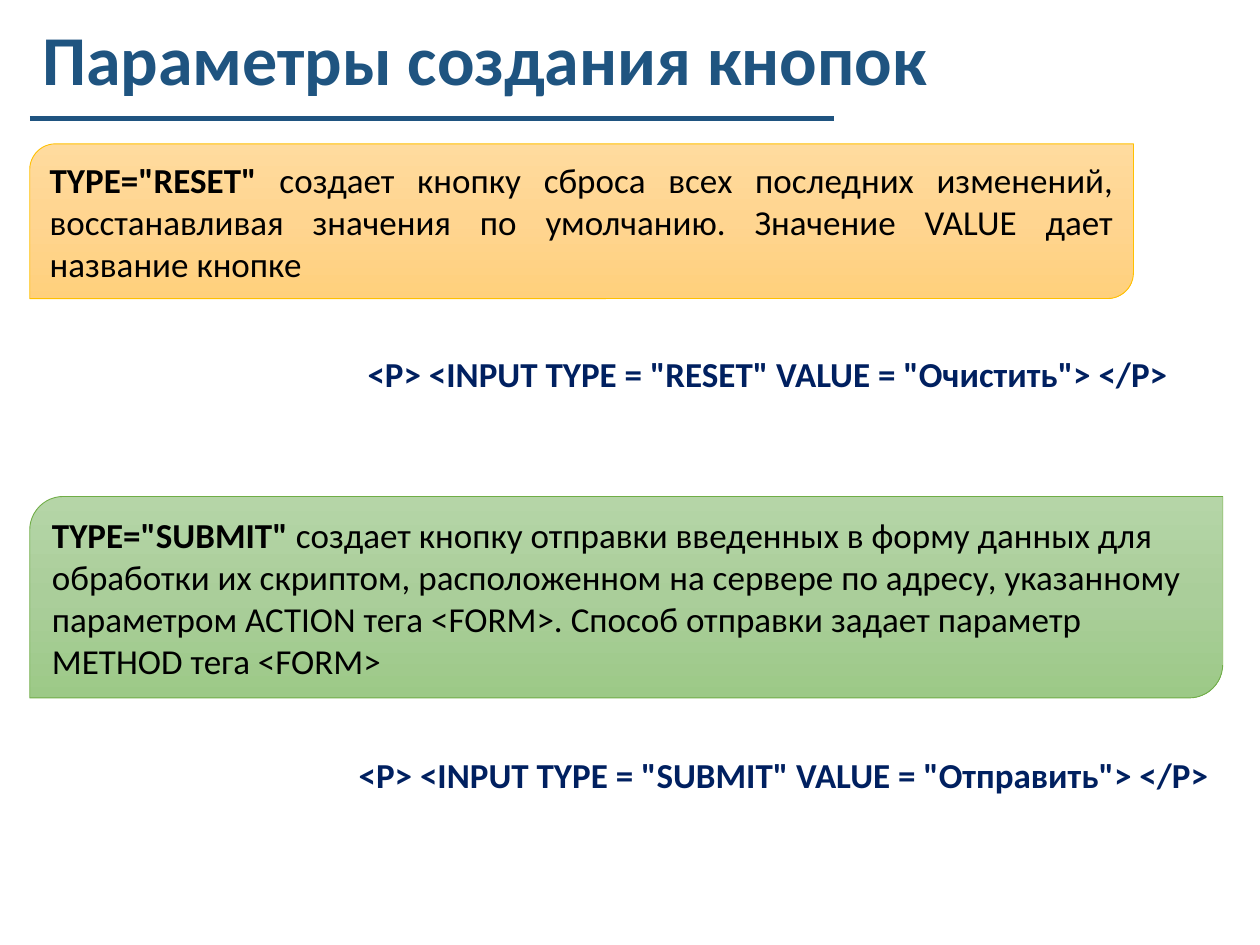
from copy import deepcopy
from pptx import Presentation
from pptx import util as u
from pptx.dml.color import RGBColor
from pptx.enum import shapes, text
from pptx.oxml import ns, xmlchemy


def rgb(value):
    return RGBColor.from_string(value)


def add_run(p, content, size, color, bold):
    r = p.add_run()
    r.text = content
    r.font.name = "Calibri"
    r.font.size = u.Pt(size)
    r.font.bold = bold
    r.font.color.rgb = rgb(color)


prs = Presentation()
prs.slide_width = u.Cm(25.4)
prs.slide_height = u.Cm(19.05)
s = prs.slides.add_slide(prs.slide_layouts[6])
left = u.Cm(0.6)

title = s.shapes.add_textbox(left, u.Cm(0.38), u.Cm(19.15), u.Cm(2.62))
tf = title.text_frame
tf.word_wrap = True
p = tf.paragraphs[0]
p.line_spacing = 0.9
add_run(p, "Параметры создания кнопок", 40, "1F5480", True)

rule = s.shapes.add_connector(shapes.MSO_CONNECTOR.STRAIGHT, left, u.Cm(2.39), u.Cm(16.81), u.Cm(2.39))
rule.line.color.rgb = rgb("1F5480")
rule.line.width = u.Pt(3)
rule._element.spPr.append(xmlchemy.OxmlElement("a:effectLst"))

cards = [
    (2.9, 22.25, 3.12, ["FFDB9E", "FFD590", "FFD07C"], "FFC000", text.PP_ALIGN.JUSTIFY,
     'TYPE="RESET" ',
     "создает кнопку сброса всех последних изменений, восстанавливая значения "
     "по умолчанию. Значение VALUE дает название кнопке"),
    (10.01, 24.05, 4.06, ["B5D5A7", "AACE9A", "9CC987"], "70AD47", text.PP_ALIGN.LEFT,
     'TYPE="SUBMIT" ',
     "создает кнопку отправки введенных в форму данных для обработки их скриптом, "
     "расположенном на сервере по адресу, указанному параметром ACTION тега <FORM>. "
     "Способ отправки задает параметр METHOD тега <FORM>"),
]
for top, width, height, colors, border, align, term, description in cards:
    sp = s.shapes.add_shape(shapes.MSO_SHAPE.ROUND_2_DIAG_RECTANGLE, left, u.Cm(top), u.Cm(width), u.Cm(height))
    sp.shadow.inherit = False
    sp.fill.gradient()
    sp.fill.gradient_angle = 270
    stops = sp._element.spPr.find(".//" + ns.qn("a:gsLst"))
    stops.insert(1, deepcopy(stops[0]))
    for stop, color, position in zip(sp.fill.gradient_stops, colors, (0, 0.5, 1)):
        stop.color.rgb = rgb(color)
        stop.position = position
    sp.line.color.rgb = rgb(border)
    sp.line.width = u.Pt(0.5)
    tf = sp.text_frame
    tf.word_wrap = True
    tf.vertical_anchor = text.MSO_ANCHOR.MIDDLE
    p = tf.paragraphs[0]
    p.alignment = align
    add_run(p, term, 20, "000000", True)
    add_run(p, description, 20, "000000", False)

examples = [
    (7.16, 6.98, 17.48, '<P> <INPUT TYPE = "RESET" VALUE = "Очистить"> </P>'),
    (6.98, 15.06, 17.81, '<P> <INPUT TYPE = "SUBMIT" VALUE = "Отправить"> </P>'),
]
for x, y, width, code in examples:
    box = s.shapes.add_textbox(u.Cm(x), u.Cm(y), u.Cm(width), u.Cm(1.11))
    tf = box.text_frame
    tf.word_wrap = True
    add_run(tf.paragraphs[0], code, 20, "002060", True)

prs.save("out.pptx")
